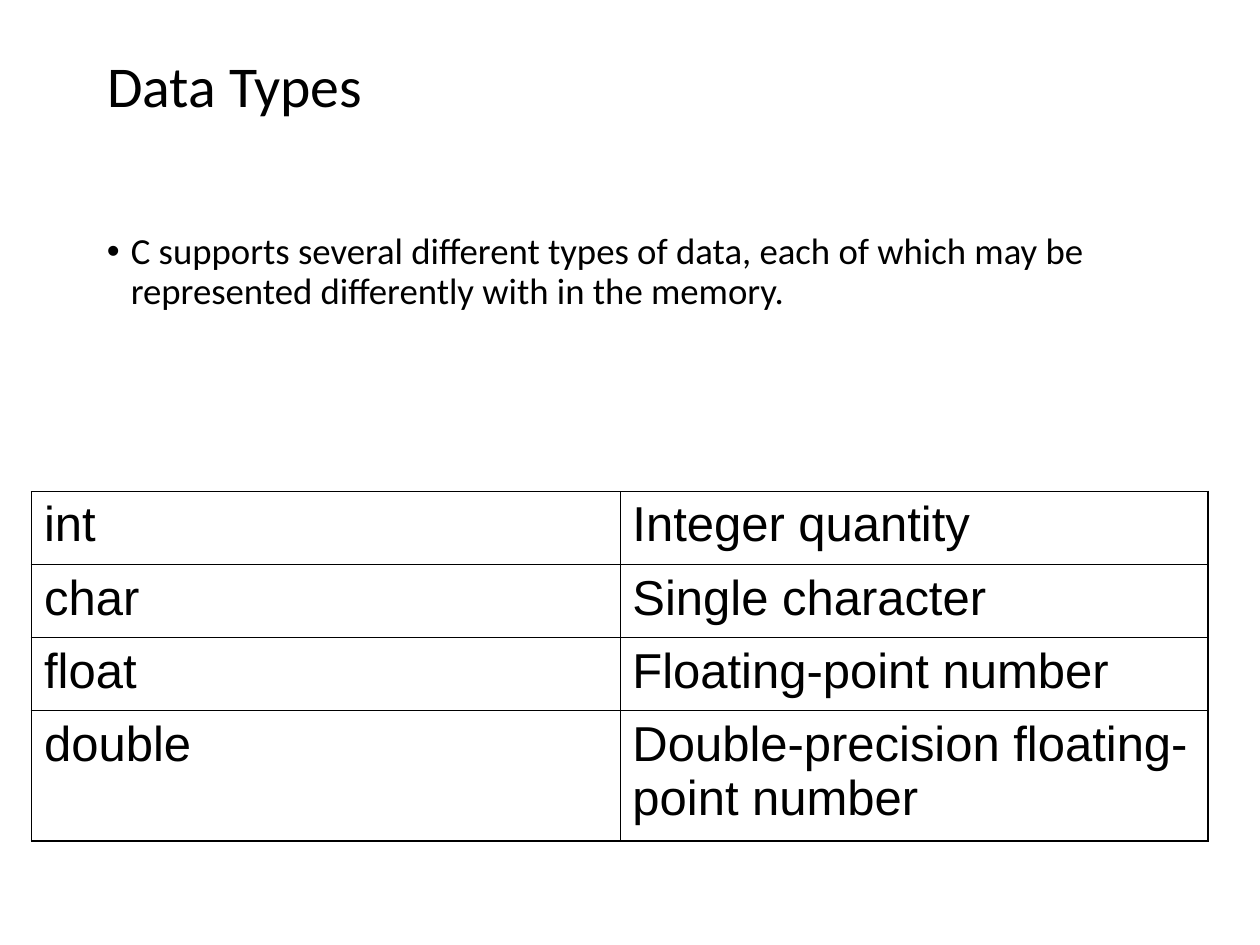
from lxml.etree import SubElement
from pptx import Presentation
from pptx.dml.color import RGBColor
from pptx.enum.text import MSO_ANCHOR, MSO_AUTO_SIZE, PP_ALIGN
from pptx.oxml.ns import qn
from pptx.util import Inches, Pt

COLORS = {"text": "000000", "border": "000000"}
TITLE_FONT = {"name": "Calibri", "size": Pt(33), "bold": False}
BODY_FONT = {"name": "Calibri", "size": Pt(21)}
CELL_FONT = {"name": "Arial", "size": Pt(28)}
THIN, THICK = Pt(0.45), Pt(1.08)

DATA_TYPES = [
    ("int", "Integer quantity"),
    ("char", "Single character"),
    ("float", "Floating-point number"),
    ("double", "Double-precision floating-point number"),
]
ROW_HEIGHTS = [0.58, 0.58, 0.58, 1.03]
COLUMN_WIDTH = 4.67


def write_text(frame, text, font, **spacing):
    para = frame.paragraphs[0]
    for name, value in spacing.items():
        setattr(para, name, value)
    span = para.add_run()
    span.text = text
    for name, value in font.items():
        setattr(span.font, name, value)
    span.font.color.rgb = RGBColor.from_string(COLORS["text"])
    return para


def add_title(page, text):
    title = page.shapes.title
    title.left, title.top = Inches(0.75), Inches(0.33)
    title.width, title.height = Inches(8.5), Inches(0.75)
    frame = title.text_frame
    frame.vertical_anchor = MSO_ANCHOR.MIDDLE
    frame.auto_size = MSO_AUTO_SIZE.NONE
    write_text(frame, text, TITLE_FONT, alignment=PP_ALIGN.LEFT, line_spacing=0.9)


def add_bullet_text(page, text):
    box = page.shapes.add_textbox(Inches(0.75), Inches(1.8), Inches(8.5), Inches(1.62))
    box.text_frame.word_wrap = True
    para = write_text(box.text_frame, text, BODY_FONT,
                      line_spacing=0.9, space_before=Pt(7.5))
    props = para._p.get_or_add_pPr()
    props.set("marL", str(Inches(0.19)))
    props.set("indent", str(-Inches(0.19)))
    SubElement(props, qn("a:buFont"), typeface="Arial")
    SubElement(props, qn("a:buChar"), char="•")


def set_borders(cell, widths):
    """Draw solid borders; widths maps the sides L, R, T, B in that order."""
    props = cell._tc.get_or_add_tcPr()
    for side, width in widths.items():
        line = SubElement(props, qn(f"a:ln{side}"), w=str(width))
        fill = SubElement(line, qn("a:solidFill"))
        SubElement(fill, qn("a:srgbClr"), val=COLORS["border"])


def add_type_table(page):
    rows, cols = len(DATA_TYPES), len(DATA_TYPES[0])
    table = page.shapes.add_table(
        rows, cols, Inches(0.25), Inches(3.9),
        Inches(COLUMN_WIDTH * cols), Inches(sum(ROW_HEIGHTS))).table
    table.first_row = table.horz_banding = False
    for column in table.columns:
        column.width = Inches(COLUMN_WIDTH)
    for r, (texts, height) in enumerate(zip(DATA_TYPES, ROW_HEIGHTS)):
        table.rows[r].height = Inches(height)
        for c, text in enumerate(texts):
            cell = table.cell(r, c)
            write_text(cell.text_frame, text, CELL_FONT, space_before=Pt(7))
            set_borders(cell, {
                "L": THICK if c == 0 else THIN,
                "R": THICK if c == cols - 1 else THIN,
                "T": THICK if r == 0 and c > 0 else THIN,
                "B": THICK if r == rows - 1 else THIN,
            })
            cell.fill.background()


def main():
    deck = Presentation()
    deck.slide_width, deck.slide_height = Inches(10), Inches(7.5)
    page = deck.slides.add_slide(deck.slide_layouts[5])
    add_title(page, "Data Types")
    add_bullet_text(page, "C supports several different types of data, each of which "
                          "may be represented differently with in the memory.")
    add_type_table(page)
    deck.save("out.pptx")


if __name__ == "__main__":
    main()
